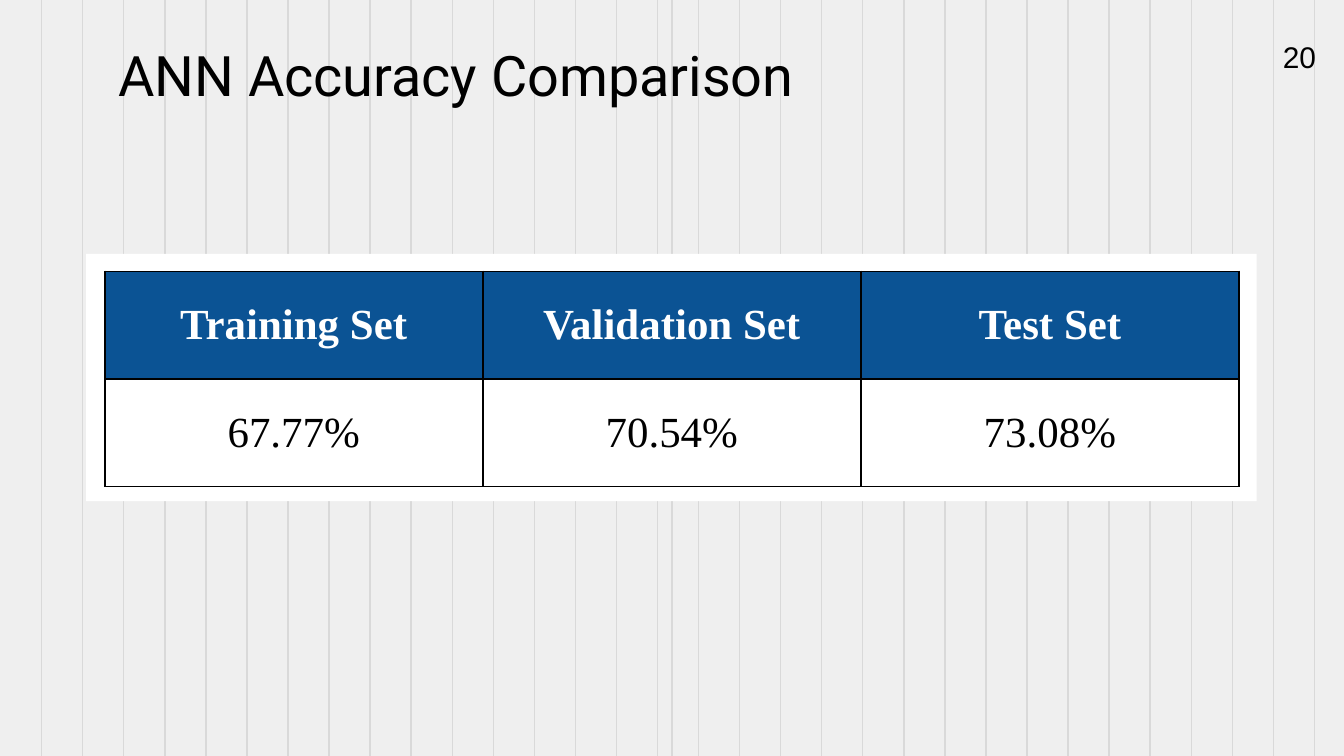
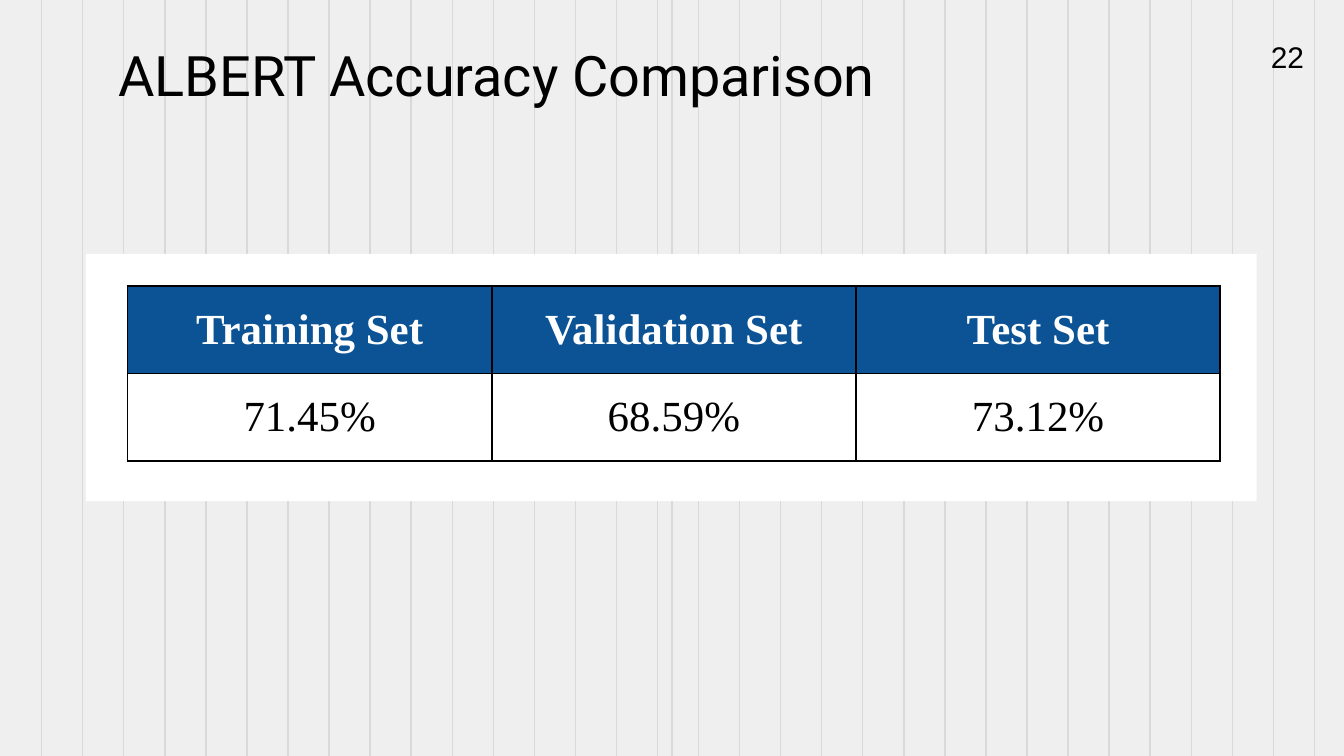
from dataclasses import dataclass

from lxml import etree
from pptx import Presentation
from pptx.dml.color import RGBColor
from pptx.enum.shapes import MSO_CONNECTOR, MSO_SHAPE
from pptx.enum.text import MSO_ANCHOR, MSO_AUTO_SIZE, PP_ALIGN
from pptx.oxml.ns import qn
from pptx.util import Inches, Pt

STRAIGHT = MSO_CONNECTOR.STRAIGHT
RECTANGLE = MSO_SHAPE.RECTANGLE
TOP, MIDDLE = MSO_ANCHOR.TOP, MSO_ANCHOR.MIDDLE
NO_AUTOFIT = MSO_AUTO_SIZE.NONE
LEFT, CENTER, RIGHT = PP_ALIGN.LEFT, PP_ALIGN.CENTER, PP_ALIGN.RIGHT
TITLE_ONLY = 5


@dataclass(frozen=True)
class Theme:
    background: str = "EFEFEF"
    stripe: str = "D9D9D9"
    panel: str = "FFFFFF"
    header: str = "0B5394"
    header_text: str = "FFFFFF"
    ink: str = "000000"
    title_font: str = "Roboto"
    number_font: str = "Arial"
    table_font: str = "Times New Roman"
    title_size: float = 29.9
    number_size: float = 16
    table_size: float = 23
    stripe_width: float = 0.75
    border_width: float = 1


THEME = Theme()
WIDTH = 10
HEIGHT = WIDTH * 9 / 16
STRIPE_COUNT, FIRST_STRIPE, LAST_STRIPE = 32, 0.31, 9.78
TITLE_BOX = (0.78, 0.2, 8.44, 0.63)
PANEL_BOX = (0.64, 1.89, 8.71, 1.84)
HEADINGS = ("Training Set", "Validation Set", "Test Set")
COMPARISONS = (
    ("ANN Accuracy Comparison", "20", (9.38, 0.21, 0.51, 0.43),
     (0.78, 2.02, 8.44, 1.6), ("67.77%", "70.54%", "73.08%")),
    ("ALBERT Accuracy Comparison", "22", (9.29, 0.21, 0.51, 0.43),
     (0.95, 2.13, 8.13, 1.3), ("71.45%", "68.59%", "73.12%")),
)


def rgb(color):
    return RGBColor.from_string(color)


def inches(box):
    return [Inches(length) for length in box]


def write(frame, text, font, size, color, align, bold=False):
    frame.text = text
    paragraph = frame.paragraphs[0]
    paragraph.alignment = align
    style = paragraph.runs[0].font
    style.name, style.size, style.bold = font, Pt(size), bold
    style.color.rgb = rgb(color)


def set_frame(frame, anchor):
    frame.word_wrap = True
    frame.auto_size = NO_AUTOFIT
    frame.vertical_anchor = anchor
    frame.margin_left = frame.margin_right = Inches(0.1)
    frame.margin_top = frame.margin_bottom = Inches(0.1)


def add_backdrop(layout, slide):
    fill = layout.background.fill
    fill.solid()
    fill.fore_color.rgb = rgb(THEME.background)
    gap = (LAST_STRIPE - FIRST_STRIPE) / (STRIPE_COUNT - 1)
    positions = [FIRST_STRIPE + gap * index for index in range(STRIPE_COUNT)]
    for number, x in enumerate(positions + [WIDTH / 2]):
        stripe = slide.shapes.add_connector(
            STRAIGHT, Inches(x), 0, Inches(x), Inches(HEIGHT))
        stripe.line.color.rgb = rgb(THEME.stripe)
        stripe.line.width = Pt(THEME.stripe_width)
        element = stripe.element
        etree.SubElement(element.find(qn("p:spPr")), qn("a:effectLst"))
        element.find(".//" + qn("p:cNvPr")).set("id", str(100 + number))
        layout.shapes.element.append(element)


def add_title(slide, box, text):
    title = slide.shapes.title
    title.left, title.top, title.width, title.height = inches(box)
    set_frame(title.text_frame, TOP)
    write(title.text_frame, text, THEME.title_font, THEME.title_size, THEME.ink, LEFT)


def add_page_number(slide, box, text):
    frame = slide.shapes.add_textbox(*inches(box)).text_frame
    set_frame(frame, MIDDLE)
    write(frame, text, THEME.number_font, THEME.number_size, THEME.ink, RIGHT)


def add_panel(slide, box):
    panel = slide.shapes.add_shape(RECTANGLE, *inches(box))
    panel.shadow.inherit = False
    panel.fill.solid()
    panel.fill.fore_color.rgb = rgb(THEME.panel)
    panel.line.fill.background()


def add_borders(cell):
    properties = cell._tc.get_or_add_tcPr()
    for index, side in enumerate(("a:lnL", "a:lnR", "a:lnT", "a:lnB")):
        border = etree.Element(qn(side), w=str(Pt(THEME.border_width)))
        paint = etree.SubElement(border, qn("a:solidFill"))
        etree.SubElement(paint, qn("a:srgbClr"), val=THEME.ink)
        properties.insert(index, border)


def add_accuracy_table(slide, box, accuracies):
    rows = (HEADINGS, accuracies)
    table = slide.shapes.add_table(len(rows), len(HEADINGS), *inches(box)).table
    table.first_row = table.horz_banding = False
    for row_index, row in enumerate(rows):
        is_header = row_index == 0
        for column_index, text in enumerate(row):
            cell = table.cell(row_index, column_index)
            cell.vertical_anchor = MIDDLE
            cell.margin_left = cell.margin_right = Inches(0.07)
            cell.margin_top = cell.margin_bottom = Inches(0.07)
            write(cell.text_frame, text, THEME.table_font, THEME.table_size,
                  THEME.header_text if is_header else THEME.ink, CENTER, is_header)
            if is_header:
                cell.fill.solid()
                cell.fill.fore_color.rgb = rgb(THEME.header)
            else:
                cell.fill.background()
            add_borders(cell)


def main():
    deck = Presentation()
    deck.slide_width, deck.slide_height = inches((WIDTH, HEIGHT))
    layout = deck.slide_layouts[TITLE_ONLY]
    for title, number, number_box, table_box, accuracies in COMPARISONS:
        slide = deck.slides.add_slide(layout)
        add_title(slide, TITLE_BOX, title)
        add_page_number(slide, number_box, number)
        add_panel(slide, PANEL_BOX)
        add_accuracy_table(slide, table_box, accuracies)
    add_backdrop(layout, deck.slides[0])
    deck.save("out.pptx")


if __name__ == "__main__":
    main()
